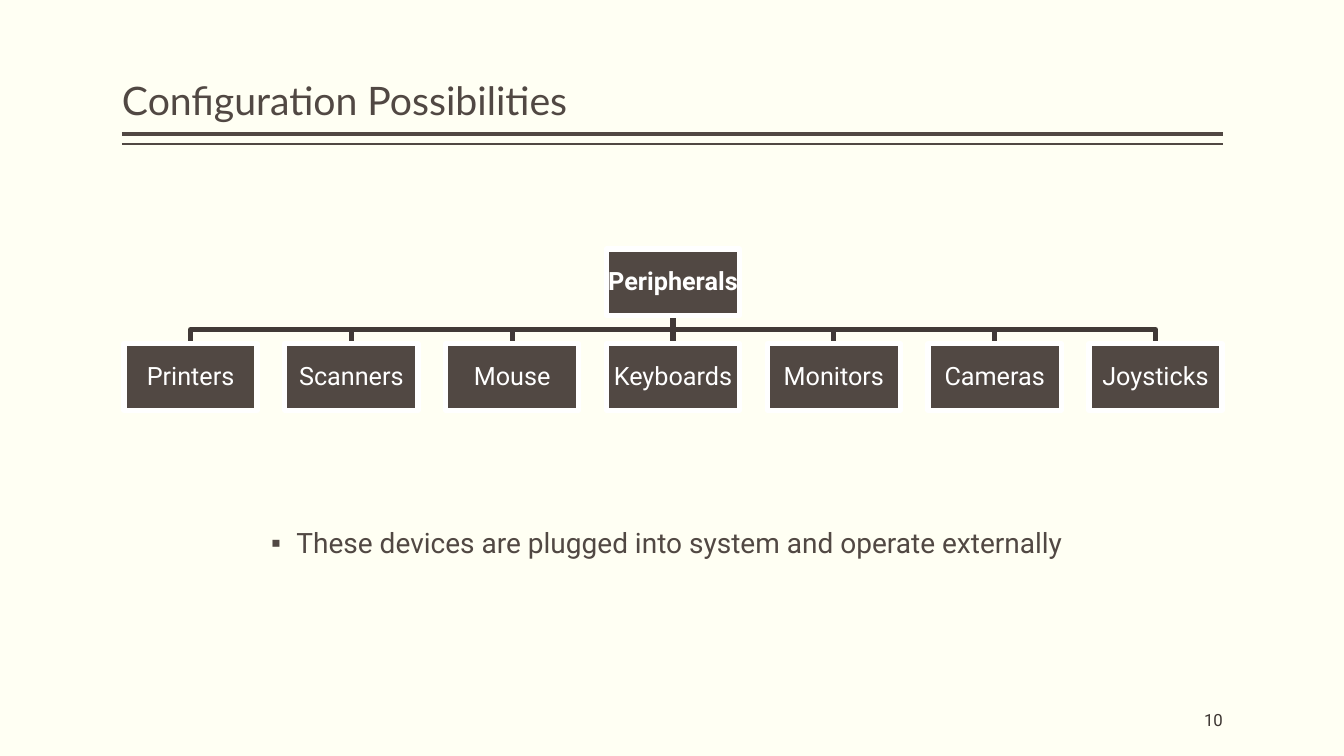
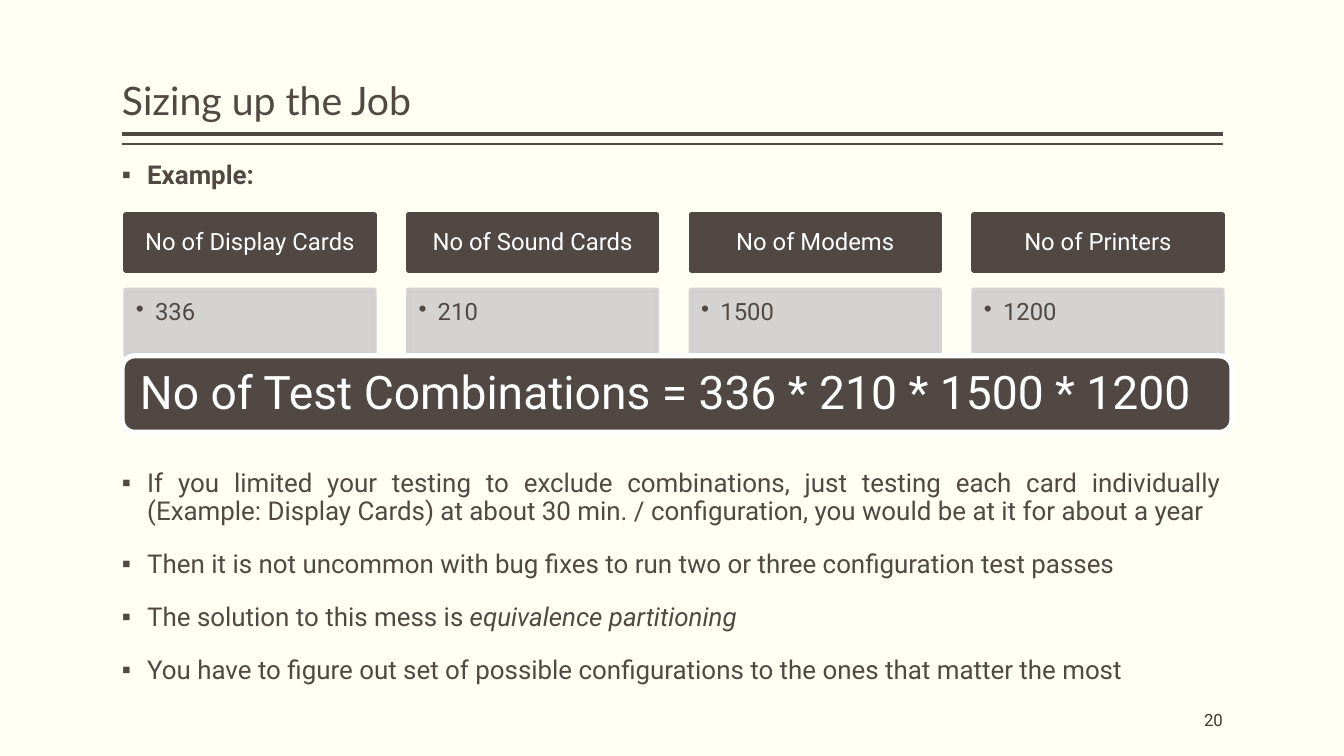
from lxml import etree
from pptx import Presentation
from pptx.dml.color import RGBColor
from pptx.enum.shapes import MSO_CONNECTOR, MSO_SHAPE
from pptx.enum.text import MSO_ANCHOR, MSO_AUTO_SIZE, PP_ALIGN
from pptx.oxml.ns import qn
from pptx.util import Inches, Pt

COLORS = {
    "background": "FFFFF3",
    "brown": "514843",
    "branch": "413A36",
    "number": "3D3632",
    "gray": "D0CFCF",
    "white": "FFFFFF",
}
TITLE_FONT, BODY_FONT = "Lato", "Roboto"
LEFT, CENTER, RIGHT = PP_ALIGN.LEFT, PP_ALIGN.CENTER, PP_ALIGN.RIGHT
JUSTIFY = PP_ALIGN.JUSTIFY
TOP, MIDDLE, BOTTOM = MSO_ANCHOR.TOP, MSO_ANCHOR.MIDDLE, MSO_ANCHOR.BOTTOM
NO_AUTOFIT = MSO_AUTO_SIZE.NONE
RECTANGLE, ROUNDED = MSO_SHAPE.RECTANGLE, MSO_SHAPE.ROUNDED_RECTANGLE
STRAIGHT = MSO_CONNECTOR.STRAIGHT

TITLE_AND_CONTENT, TWO_CONTENT = 1, 3
MARGIN_LEFT, CONTENT_WIDTH = 1.21, 10.92
PLACEHOLDER_INSETS = (0, 0.05, 0, 0.05)
OUTLINE = 3.78


def rgb(name):
    return RGBColor.from_string(COLORS[name])


def place(shape, left, top, width, height):
    shape.left, shape.top = Inches(left), Inches(top)
    shape.width, shape.height = Inches(width), Inches(height)


def prepare_frame(shape, insets, anchor):
    """Set wrapping, anchor and insets (left, top, right, bottom)."""
    frame = shape.text_frame
    frame.word_wrap = True
    frame.auto_size = NO_AUTOFIT
    frame.vertical_anchor = anchor
    (frame.margin_left, frame.margin_top,
     frame.margin_right, frame.margin_bottom) = map(Inches, insets)
    return frame


def add_bullet(paragraph, character, margin, hanging):
    properties = paragraph._p.get_or_add_pPr()
    properties.set("marL", str(Inches(margin)))
    properties.set("indent", str(-Inches(hanging)))
    etree.SubElement(properties, qn("a:buChar")).set("char", character)


def style_paragraph(paragraph, size, color, alignment=LEFT, font=BODY_FONT,
                    bold=False):
    paragraph.alignment = alignment
    paragraph.line_spacing = 0.9
    paragraph.space_before = Pt(0)
    paragraph.font.name = font
    paragraph.font.size = Pt(size)
    paragraph.font.bold = bold
    paragraph.font.color.rgb = rgb(color)


def add_line(slide, start, end, color, width):
    line = slide.shapes.add_connector(STRAIGHT, *map(Inches, start + end))
    line.line.color.rgb = rgb(color)
    line.line.width = Pt(width)
    etree.SubElement(line.element.spPr, qn("a:effectLst"))


def add_block(slide, box, fill, outline, preset=RECTANGLE):
    block = slide.shapes.add_shape(preset, *map(Inches, box))
    block.shadow.inherit = False
    block.fill.solid()
    block.fill.fore_color.rgb = rgb(fill)
    block.line.color.rgb = rgb(outline)
    block.line.width = Pt(OUTLINE)
    return block


def add_label(block, text, size, insets, alignment=CENTER, bold=False):
    paragraph = prepare_frame(block, insets, MIDDLE).paragraphs[0]
    paragraph.text = text
    style_paragraph(paragraph, size, "white", alignment, bold=bold)


def add_titled_slide(presentation, layout, title, number):
    """Add a slide with its title, double rule and page number."""
    slide = presentation.slides.add_slide(presentation.slide_layouts[layout])
    right = MARGIN_LEFT + CONTENT_WIDTH
    for top, width in ((1.33, 3), (1.43, 1)):
        add_line(slide, (MARGIN_LEFT, top), (right, top), "brown", width)

    heading = slide.shapes.title
    place(heading, MARGIN_LEFT, 0.08, CONTENT_WIDTH, 1.2)
    paragraph = prepare_frame(heading, PLACEHOLDER_INSETS, BOTTOM).paragraphs[0]
    paragraph.text = title
    style_paragraph(paragraph, 28, "brown", font=TITLE_FONT)

    page = slide.shapes.add_textbox(*map(Inches, (right - 2, 6.95, 2, 0.4)))
    paragraph = prepare_frame(page, PLACEHOLDER_INSETS, MIDDLE).paragraphs[0]
    paragraph.text = str(number)
    style_paragraph(paragraph, 12, "number", RIGHT)
    return slide


def fill_list(placeholder, box, items, size, margin=0.25, bold=False):
    """Fill a body placeholder; an item is a list of (text, italic) runs."""
    place(placeholder, *box)
    frame = prepare_frame(placeholder, PLACEHOLDER_INSETS, TOP)
    for index, item in enumerate(items):
        paragraph = frame.add_paragraph() if index else frame.paragraphs[0]
        add_bullet(paragraph, "▪", margin, 0.25)
        style_paragraph(paragraph, size, "brown", JUSTIFY, bold=bold)
        if index:
            paragraph.space_before = Pt(18)
        for text, italic in item:
            run = paragraph.add_run()
            run.text = text
            if italic:
                run.font.italic = True


def add_branch(slide, parent, child):
    """Draw a line from parent to child, bent halfway if they are offset."""
    if abs(parent[0] - child[0]) < 0.01:
        add_line(slide, parent, child, "branch", OUTLINE)
        return
    middle = (parent[1] + child[1]) / 2
    points = [(Inches(x), Inches(y)) for x, y in
              (parent, (parent[0], middle), (child[0], middle), child)]
    builder = slide.shapes.build_freeform(*points[0])
    builder.add_line_segments(points[1:], close=False)
    branch = builder.convert_to_shape()
    branch.shadow.inherit = False
    branch.fill.background()
    branch.line.color.rgb = rgb("branch")
    branch.line.width = Pt(OUTLINE)


def add_tree(slide, box, root, children):
    left, top, width, height = box
    node_width, node_height = 1.32, 0.66
    pitch = (width - node_width) / (len(children) - 1)
    child_top = top + height - node_height
    root_left = left + (width - node_width) / 2
    lefts = [left + index * pitch for index in range(len(children))]

    parent = (root_left + node_width / 2, top + node_height)
    for child_left in lefts:
        add_branch(slide, parent, (child_left + node_width / 2, child_top))

    nodes = [(root, root_left, top)]
    nodes += [(name, x, child_top) for name, x in zip(children, lefts)]
    for name, x, y in nodes:
        node = add_block(slide, (x, y, node_width, node_height),
                         "brown", "white")
        add_label(node, name, 18, (0.01,) * 4, bold=name == root)


def add_count_cards(slide, box, counts):
    left, top, width, height = box
    card_width, header_height, value_height = 2.46, 0.55, 0.64
    pitch = (width - card_width) / (len(counts) - 1)
    value_top = top + height - value_height
    for index, (name, count) in enumerate(counts):
        x = left + index * pitch
        header = add_block(slide, (x, top, card_width, header_height),
                           "brown", "brown")
        add_label(header, name, 17, (0.13, 0.08, 0.13, 0.08))

        value = add_block(slide, (x, value_top, card_width, value_height),
                          "gray", "gray")
        for color in value.element.spPr.iter(qn("a:srgbClr")):
            etree.SubElement(color, qn("a:alpha")).set("val", "90000")
        frame = prepare_frame(value, (0.1, 0.1, 0.13, 0.15), TOP)
        paragraph = frame.paragraphs[0]
        paragraph.text = str(count)
        add_bullet(paragraph, "•", 0.19, 0.19)
        style_paragraph(paragraph, 17, "brown")


def build_peripherals_slide(presentation):
    slide = add_titled_slide(presentation, TITLE_AND_CONTENT,
                             "Configuration Possibilities", 10)
    add_tree(slide, (1.23, 2.47, 10.89, 1.6), "Peripherals",
             ["Printers", "Scanners", "Mouse", "Keyboards", "Monitors",
              "Cameras", "Joysticks"])
    note = "These devices are plugged into system and operate externally"
    fill_list(slide.placeholders[1], (2.19, 5.2, 10.9, 0.58),
              [[(note, False)]], 20, margin=0.75)


def build_sizing_slide(presentation):
    slide = add_titled_slide(presentation, TWO_CONTENT,
                             "Sizing up the Job", 20)
    fill_list(slide.placeholders[1], (MARGIN_LEFT, 1.56, 10.89, 0.45),
              [[("Example:", False)]], 18.5, bold=True)

    counts = [("No of Display Cards", 336), ("No of Sound Cards", 210),
              ("No of Modems", 1500), ("No of Printers", 1200)]
    add_count_cards(slide, (1.25, 2.13, 10.87, 1.39), counts)

    product = " * ".join(str(count) for _, count in counts)
    banner = add_block(slide, (MARGIN_LEFT, 3.53, 11.01, 0.76),
                       "brown", "white", ROUNDED)
    add_label(banner, f"No of Test Combinations = {product}", 33,
              (0.14, 0.14, 0.14, 0.14), LEFT)

    fill_list(slide.placeholders[2], (MARGIN_LEFT, 4.61, 10.89, 2.3), [
        [("If you limited your testing to exclude combinations, just testing "
          "each card individually (Example: Display Cards) at about 30 min. / "
          "configuration, you would be at it for about a year", False)],
        [("Then it is not uncommon with bug fixes to run two or three "
          "configuration test passes", False)],
        [("The solution to this mess is ", False),
         ("equivalence partitioning", True)],
        [("You have to figure out set of possible configurations to the ones "
          "that matter the most", False)],
    ], 18.5)


def main():
    presentation = Presentation()
    presentation.slide_width = Inches(13.33)
    presentation.slide_height = Inches(7.5)
    background = presentation.slide_master.background.fill
    background.solid()
    background.fore_color.rgb = rgb("background")
    build_peripherals_slide(presentation)
    build_sizing_slide(presentation)
    presentation.save("out.pptx")


if __name__ == "__main__":
    main()
